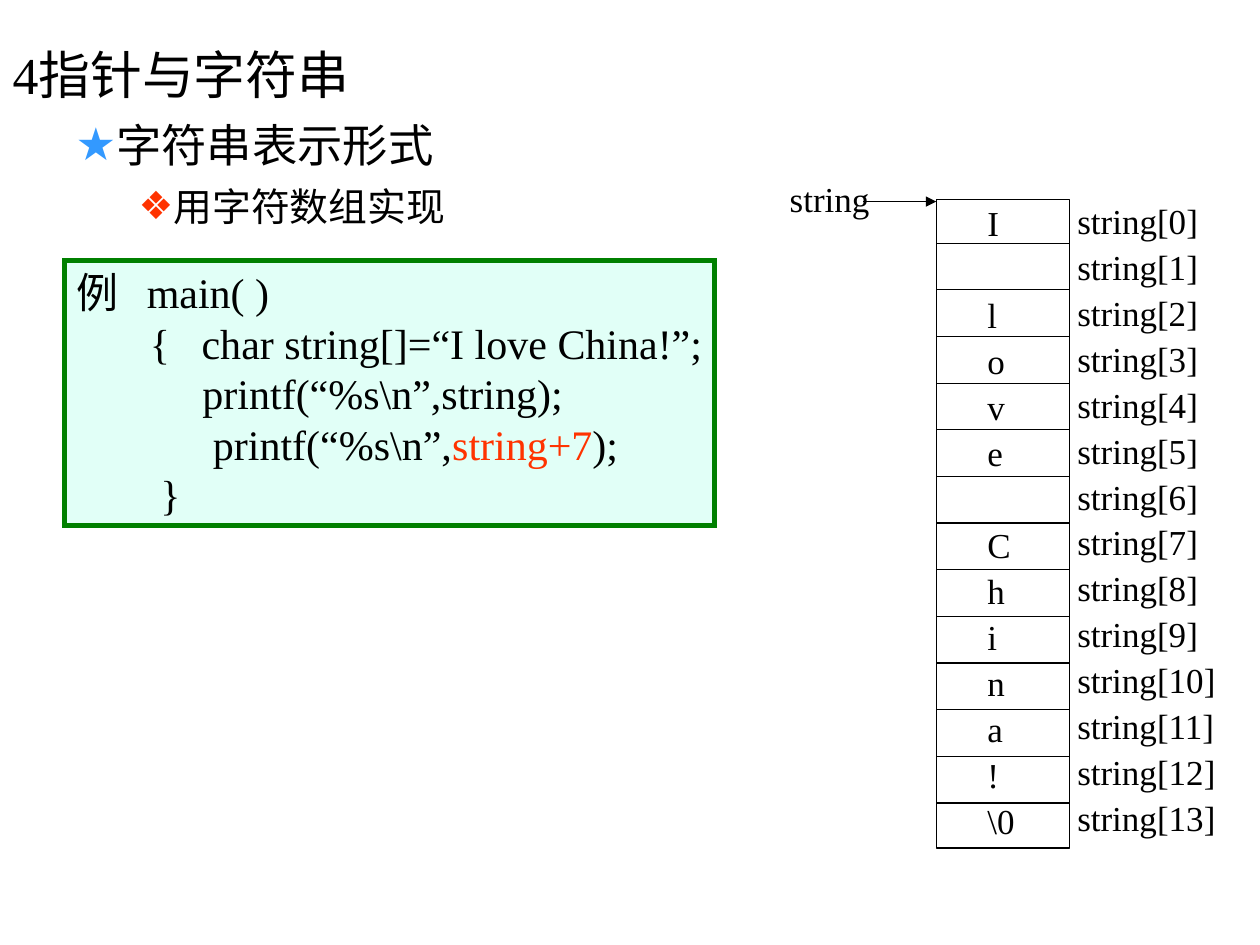
from lxml.etree import SubElement
from pptx import Presentation
from pptx.dml.color import RGBColor
from pptx.enum.shapes import MSO_CONNECTOR, MSO_SHAPE
from pptx.enum.text import MSO_ANCHOR, MSO_AUTO_SIZE, PP_ALIGN
from pptx.oxml.ns import qn
from pptx.util import Pt

BLACK = RGBColor(0x00, 0x00, 0x00)
STAR_BLUE = RGBColor(0x33, 0x99, 0xFF)
ACCENT_RED = RGBColor(0xFF, 0x33, 0x00)
CODE_FILL = RGBColor(0xE1, 0xFF, 0xF7)
CODE_BORDER = RGBColor(0x00, 0x80, 0x00)
FONT = "Times New Roman"

OUTLINE = [
    ("4指针与字符串", 29.6, 0, 27, 27, None, None),
    ("字符串表示形式", 25.9, 7, 58.5, 22.5, "★", STAR_BLUE),
    ("用字符数组实现", 22.2, 6, 90, 18, "❖", ACCENT_RED),
]
CODE = [
    ["例   main( )"],
    ["       {   char string[]=“I love China!”;"],
    ["            printf(“%s\\n”,string);"],
    ["             printf(“%s\\n”,", "string+7", ");"],
    ["        }"],
]
HIGHLIGHT = "string+7"
CHARACTERS = list("I love China!") + ["\\0"]


def style_run(run, size, color=BLACK):
    run.font.name = FONT
    run.font.size = Pt(size)
    run.font.color.rgb = color


def set_bullet(paragraph, symbol, color, margin, hanging):
    properties = paragraph._p.get_or_add_pPr()
    properties.set("marL", str(Pt(margin)))
    properties.set("indent", str(-Pt(hanging)))
    if symbol is None:
        SubElement(properties, qn("a:buNone"))
        return
    bullet_color = SubElement(properties, qn("a:buClr"))
    SubElement(bullet_color, qn("a:srgbClr")).set("val", str(color))
    SubElement(properties, qn("a:buChar")).set("char", symbol)


def add_label(slide, text, left, top, width):
    label = slide.shapes.add_textbox(Pt(left), Pt(top), Pt(width), Pt(31.6))
    label.text_frame.word_wrap = True
    label.text_frame.text = text
    style_run(label.text_frame.paragraphs[0].runs[0], 20)


def add_line(slide, left, right, y, arrow=False):
    line = slide.shapes.add_connector(
        MSO_CONNECTOR.STRAIGHT, Pt(left), Pt(y), Pt(right), Pt(y))
    line.line.color.rgb = BLACK
    line.line.width = Pt(0.75)
    if arrow:
        SubElement(line.line._get_or_add_ln(), qn("a:tailEnd")).set("type", "triangle")
    SubElement(line._element.spPr, qn("a:effectLst"))


def place_outline(slide, left, top, width, height):
    outline = slide.placeholders[1]
    outline.left, outline.top = Pt(left), Pt(top)
    outline.width, outline.height = Pt(width), Pt(height)
    frame = outline.text_frame
    frame.auto_size = MSO_AUTO_SIZE.NONE
    frame.vertical_anchor = MSO_ANCHOR.TOP
    frame.text = "\n".join(entry[0] for entry in OUTLINE)
    for level, (paragraph, entry) in enumerate(zip(frame.paragraphs, OUTLINE)):
        _, size, before, margin, hanging, symbol, color = entry
        paragraph.level = level
        paragraph.space_before = Pt(before)
        set_bullet(paragraph, symbol, color, margin, hanging)
        style_run(paragraph.runs[0], size)


def place_code(slide, left, top, width, height):
    code = slide.shapes.add_shape(
        MSO_SHAPE.RECTANGLE, Pt(left), Pt(top), Pt(width), Pt(height))
    code.shadow.inherit = False
    code.fill.solid()
    code.fill.fore_color.rgb = CODE_FILL
    code.line.color.rgb = CODE_BORDER
    code.line.width = Pt(3)
    SubElement(code.line._get_or_add_ln(), qn("a:miter")).set("lim", "800000")
    frame = code.text_frame
    frame.word_wrap = True
    frame.auto_size = MSO_AUTO_SIZE.NONE
    frame.vertical_anchor = MSO_ANCHOR.TOP
    frame.margin_right = Pt(0)
    for number, pieces in enumerate(CODE):
        paragraph = frame.add_paragraph() if number else frame.paragraphs[0]
        paragraph.alignment = PP_ALIGN.LEFT
        for piece in pieces:
            run = paragraph.add_run()
            run.text = piece
            style_run(run, 24, ACCENT_RED if piece == HIGHLIGHT else BLACK)


def place_memory(slide, left, top, width, height):
    text_pitch = 26.25
    divider_pitch = 26.65
    for index, character in enumerate(CHARACTERS):
        text_top = top - 3.4 + index * text_pitch
        if character != " ":
            add_label(slide, character, left + 22.2, text_top + 1.4, 30)
        add_label(slide, f"string[{index}]", left + width - 2.8, text_top,
                  84 if index < 10 else 94)
    cells = slide.shapes.add_shape(
        MSO_SHAPE.RECTANGLE, Pt(left), Pt(top), Pt(width), Pt(height))
    cells.shadow.inherit = False
    cells.fill.background()
    cells.line.color.rgb = BLACK
    cells.line.width = Pt(0.75)
    for index in range(len(CHARACTERS) - 1):
        add_line(slide, left, left + width, top + 25.2 + index * divider_pitch)
    add_label(slide, "string", left - 90.8, top - 15.9, 61)
    add_line(slide, left - 41.8, left, top + 1.4, arrow=True)


def main():
    presentation = Presentation()
    presentation.slide_width, presentation.slide_height = Pt(720), Pt(540)
    slide = presentation.slides.add_slide(presentation.slide_layouts[1])
    title = slide.shapes.title._element
    title.getparent().remove(title)
    place_outline(slide, 0, 21, 677.5, 119)
    place_code(slide, 36.7, 149, 371.5, 151.2)
    place_memory(slide, 535, 113.8, 76.3, 370.8)
    presentation.save("out.pptx")


if __name__ == "__main__":
    main()
